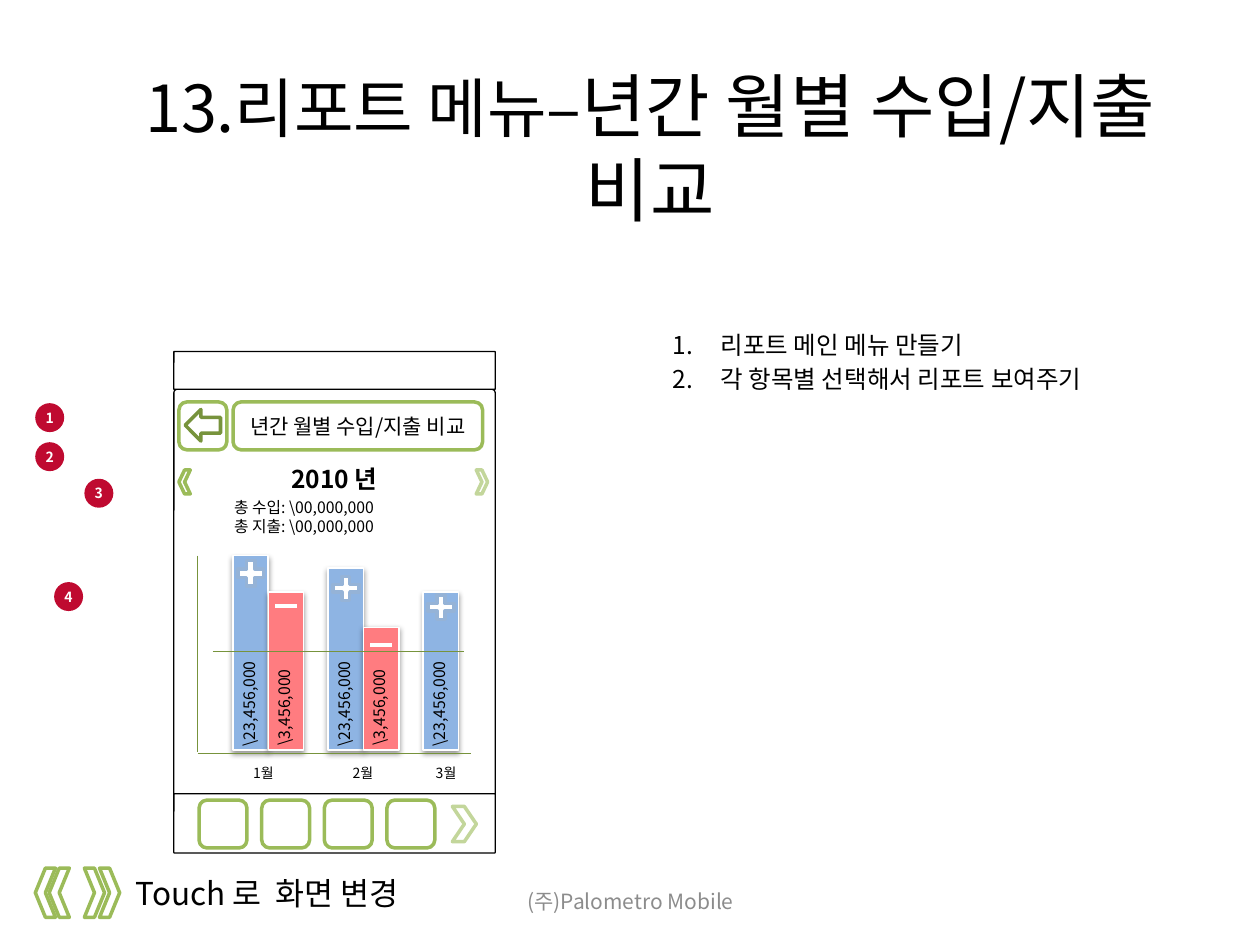
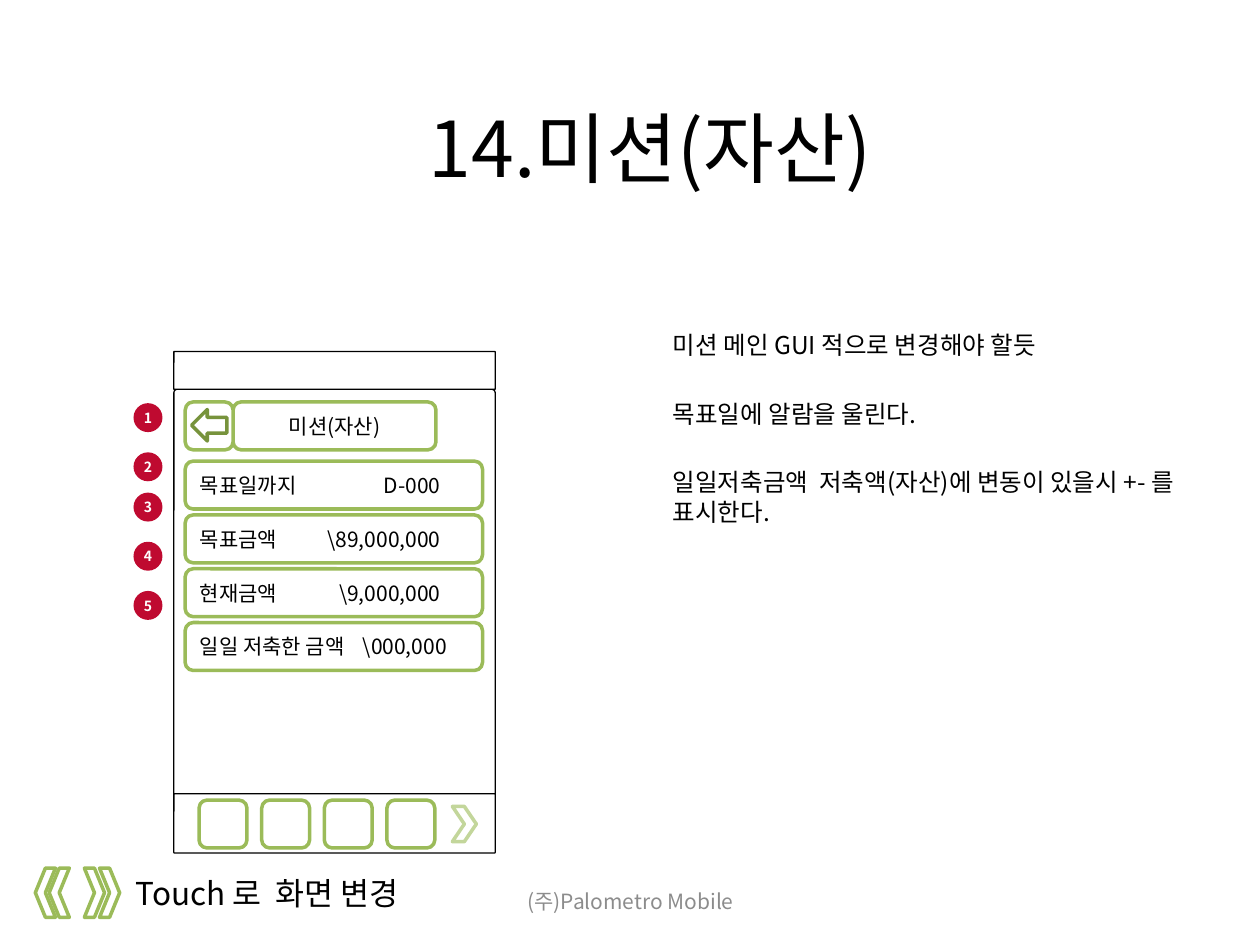
"""Builds two app screen slides: the yearly report and the savings mission."""
import lxml.etree
import pptx
import pptx.dml.color
import pptx.enum.shapes
import pptx.enum.text
import pptx.oxml.ns
import pptx.util

Inches = pptx.util.Inches
Pt = pptx.util.Pt
hue = pptx.dml.color.RGBColor.from_string
qn = pptx.oxml.ns.qn
Kind = pptx.enum.shapes.MSO_SHAPE
Align = pptx.enum.text.PP_ALIGN
Anchor = pptx.enum.text.MSO_ANCHOR

FONT = "Noto Sans CJK KR"
BLACK, WHITE, GRAY = "000000", "FFFFFF", "8C8C8C"
GREEN, PALE, DARK = "9BBB59", "C3D69B", "77933C"
BLUE, SKY, PINK, RED = "8EB4E3", "95B3D7", "FF7C80", "BF0A30"


def style(frame, size, ink=BLACK, bold=False, align=Align.LEFT):
    """Formats every run of a text frame."""
    frame.word_wrap = True
    for para in frame.paragraphs:
        para.alignment = align
        for run in para.runs:
            run.font.size = Pt(size)
            run.font.bold = bold
            run.font.color.rgb = hue(ink)
            run.font.name = FONT
            latin = run._r.rPr.find(qn("a:latin"))
            east = lxml.etree.Element(qn("a:ea"), typeface=FONT)
            latin.addnext(east)


def draw(page, kind, box, fill=WHITE, line=GREEN, width=2, text="", size=12,
         ink=BLACK, bold=False, align=Align.CENTER, pad=0.1):
    """Adds a preset shape, or a text box when kind is None."""
    spot = [Inches(n) for n in box]
    if kind is None:
        item = page.shapes.add_textbox(*spot)
    else:
        item = page.shapes.add_shape(kind, *spot)
        item.shadow.inherit = False
        item.fill.solid()
        item.fill.fore_color.rgb = hue(fill)
        if line:
            item.line.color.rgb = hue(line)
            item.line.width = Pt(width)
        else:
            item.line.fill.background()
    if text:
        frame = item.text_frame
        frame.text = text
        frame.margin_left = frame.margin_right = Inches(pad)
        if kind is not None:
            frame.vertical_anchor = Anchor.MIDDLE
        style(frame, size, ink, bold, align)
    return item


deck = pptx.Presentation()
deck.slide_width, deck.slide_height = Inches(10), Inches(7.5)

screens = [
    {"title": ["13.리포트 메뉴–", "년간 월별 수입/지출 비교"], "sizes": [37, 40],
     "notes": ["리포트 메인 메뉴 만들기", "각 항목별 선택해서 리포트 보여주기"],
     "list": True, "gap": 2.8, "back": 1.42, "head": "년간 월별 수입/지출 비교", "wide": 1.98,
     "dots": [(0.28, 3.2), (0.28, 3.51), (0.67, 3.8), (0.43, 4.62)]},
    {"title": ["14.미션(자산)"], "sizes": [44],
     "notes": ["미션 메인 GUI 적으로 변경해야 할듯", "목표일에 알람을 울린다.",
               "일일저축금액  저축액(자산)에 변동이 있을시 +- 를 표시한다."],
     "list": False, "gap": 22.4, "back": 1.47, "head": "미션(자산)", "wide": 1.61,
     "dots": [(1.06, top) for top in (3.2, 3.59, 3.91, 4.3, 4.69)]},
]

pages = []
for data in screens:
    page = deck.slides.add_slide(deck.slide_layouts[1])
    pages.append(page)

    title, body = page.shapes.title, page.placeholders[1]
    for item, box in ((title, (0.91, 0.36, 8.5, 1.61)), (body, (5.24, 2.57, 4.65, 3.7))):
        item.left, item.top, item.width, item.height = [Inches(n) for n in box]
        item.text_frame.auto_size = pptx.enum.text.MSO_AUTO_SIZE.NONE

    para = title.text_frame.paragraphs[0]
    for part in data["title"]:
        para.add_run().text = part
    style(title.text_frame, 44, align=Align.CENTER)
    for run, size in zip(para.runs, data["sizes"]):
        run.font.size = Pt(size)

    body.text_frame.text = "\n".join(data["notes"])
    style(body.text_frame, 14)
    for i, para in enumerate(body.text_frame.paragraphs):
        para.space_before = Pt(data["gap"] if i else 2.8)
        props = para._p.get_or_add_pPr()
        hang = Inches(0.38) if data["list"] else 0
        props.set("marL", str(hang))
        props.set("indent", str(-hang))
        if data["list"]:
            lxml.etree.SubElement(props, qn("a:buFont"), typeface="+mj-lt")
            lxml.etree.SubElement(props, qn("a:buAutoNum"), type="arabicPeriod")
        else:
            lxml.etree.SubElement(props, qn("a:buNone"))

    for left, turn in ((0.67, 0), (0.79, 0), (0.39, 180), (0.28, 180)):
        draw(page, Kind.CHEVRON, (left, 6.89, 0.16, 0.39)).rotation = turn
    draw(page, None, (0.98, 6.89, 2.49, 0.4), text="Touch 로  화면 변경", size=18,
         align=Align.LEFT)
    foot = draw(page, None, (3.42, 6.95, 3.17, 0.4), text="(주)Palometro Mobile", ink=GRAY)
    foot.text_frame.vertical_anchor = Anchor.MIDDLE

    for top, high in ((3.09, 3.24), (6.3, 0.47), (2.79, 0.3)):
        panel = draw(page, Kind.ROUNDED_RECTANGLE, (1.38, top, 2.55, high), line=BLACK, width=0.75)
        panel.adjustments[0] = 0.01
    for i in range(4):
        draw(page, Kind.ROUNDED_RECTANGLE, (1.58 + i * 0.497, 6.35, 0.38, 0.38))
    draw(page, Kind.CHEVRON, (3.59, 6.4, 0.19, 0.28), line=PALE)

    draw(page, Kind.ROUNDED_RECTANGLE, (1.85, 3.19, data["wide"], 0.38), text=data["head"], pad=0)
    draw(page, Kind.ROUNDED_RECTANGLE, (data["back"], 3.19, 0.38, 0.38))
    draw(page, Kind.LEFT_ARROW, (data["back"] + 0.05, 3.25, 0.28, 0.25), line=DARK)

    for i, (left, top) in enumerate(data["dots"], 1):
        draw(page, Kind.OVAL, (left, top, 0.23, 0.23), RED, None, text=str(i), size=8,
             ink=WHITE, bold=True, pad=0)

year, goal = pages

draw(year, Kind.CHEVRON, (3.78, 3.73, 0.09, 0.19), line=PALE)
draw(year, Kind.CHEVRON, (1.42, 3.73, 0.09, 0.19)).rotation = 180
draw(year, None, (1.57, 3.63, 2.17, 0.4), text="2010 년", size=14, bold=True)
draw(year, None, (1.76, 3.9, 1.89, 0.48), text="총 수입: \\00,000,000\n총 지출: \\00,000,000",
     size=9, align=Align.LEFT)

base = 5.955
plus = (Kind.MATH_PLUS, BLUE, SKY, "\\23,456,000", 1.1, 5.47)
minus = (Kind.MATH_MINUS, PINK, PINK, "\\3,456,000", 1.01, 5.51)
months = [
    ("1월", 1.91, [(plus, 4.41, 4.41, 0.28), (minus, 4.7, 4.67, 0.28)]),
    ("2월", 2.7, [(plus, 4.51, 4.54, 0.26), (minus, 4.98, 4.98, 0.28)]),
    ("3월", 3.36, [(plus, 4.7, 4.69, 0.26)]),
]
for i, (name, place, bars) in enumerate(months):
    for j, (look, top, mark, tall) in enumerate(bars):
        sign, fill, edge, sum_text, wide, mid = look
        left = 1.85 + i * 0.755 + j * 0.28
        bar = draw(year, Kind.RECTANGLE, (left, top, 0.28, base - top), fill, WHITE, 1)
        glow = lxml.etree.SubElement(
            bar._element.spPr.find(qn("a:effectLst")), qn("a:outerShdw"),
            blurRad=str(Pt(3.1)), dist=str(Pt(1.6)), dir="5400000", rotWithShape="0")
        tint = lxml.etree.SubElement(glow, qn("a:srgbClr"), val=BLACK)
        lxml.etree.SubElement(tint, qn("a:alpha"), val="38000")
        draw(year, sign, (left, mark, 0.28, tall), line=edge)
        label = draw(year, None, (left + 0.15 - wide / 2, mid - 0.15, wide, 0.3),
                     text=sum_text, size=9, align=Align.LEFT)
        label.rotation = 270
    draw(year, None, (place, 6.02, 0.45, 0.28), text=name, size=8, align=Align.LEFT)

for ends in ((1.57, 4.41, 1.57, 5.97), (1.57, 5.98, 3.74, 5.98), (1.69, 5.17, 3.68, 5.17)):
    rule = year.shapes.add_connector(pptx.enum.shapes.MSO_CONNECTOR.STRAIGHT,
                                     *[Inches(n) for n in ends])
    rule.line.color.rgb = hue(DARK)
    rule.line.width = Pt(0.75)
    lxml.etree.SubElement(rule._element.spPr, qn("a:effectLst"))

rows = [("목표일까지", "D-000", 1.91), ("목표금액", "\\89,000,000", 1.91),
        ("현재금액", "\\9,000,000", 1.91), ("일일 저축한 금액", "\\000,000", 1.96)]
for i, (name, value, stop) in enumerate(rows):
    row = draw(goal, Kind.ROUNDED_RECTANGLE, (1.47, 3.66 + i * 0.427, 2.36, 0.38),
               text=name + "\t" + value, align=Align.LEFT)
    props = row.text_frame.paragraphs[0]._p.get_or_add_pPr()
    tabs = lxml.etree.SubElement(props, qn("a:tabLst"))
    lxml.etree.SubElement(tabs, qn("a:tab"), pos=str(Inches(stop)), algn="r")

deck.save("out.pptx")
